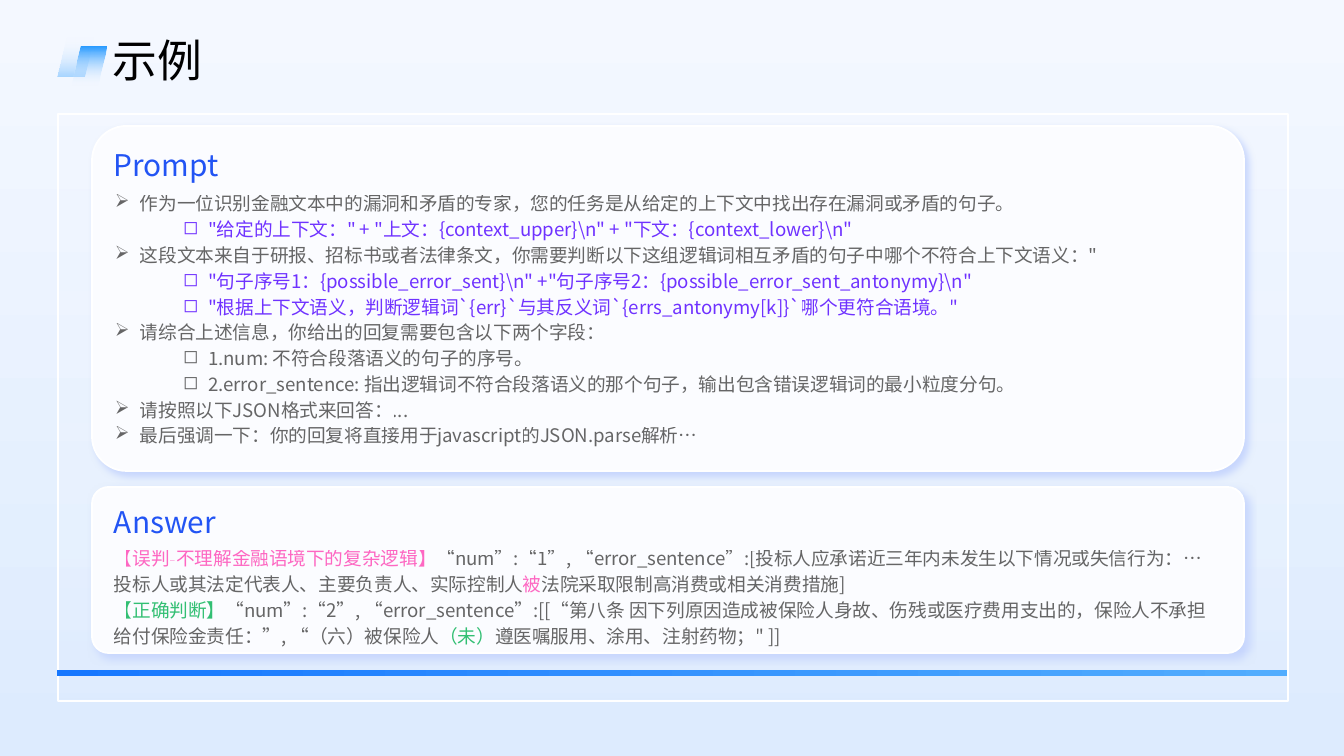
import pptx
import pptx.dml.color
import pptx.enum.shapes
import pptx.enum.text
import pptx.oxml
import pptx.oxml.ns
import pptx.util
from lxml import etree

PX = 914400 / 134.4
SHAPES = pptx.enum.shapes.MSO_SHAPE
ANCHOR = pptx.enum.text.MSO_ANCHOR
qn = pptx.oxml.ns.qn

COLORS = {
    "sky_light": "F4F8FF",
    "sky_dark": "DDEBFE",
    "logo": "2599FF",
    "white": "FFFFFF",
    "bar_light": "52ADFE",
    "bar_dark": "1677FF",
    "card": "FBFCFF",
    "shadow": "C7D6FD",
    "black": "000000",
    "heading": "2254F4",
    "body": "404040",
    "code": "4D00FF",
    "wrong": "FF42B3",
    "right": "00B050",
}
TITLE_FONT = "Noto Sans CJK JP"
BODY_FONT = "Noto Sans CJK SC"

PROMPT = [
    (0, "body", "作为一位识别金融文本中的漏洞和矛盾的专家，您的任务是从给定的上下文中找出存在漏洞或矛盾的句子。"),
    (1, "code", r'"给定的上下文：" + "上文：{context_upper}\n" + "下文：{context_lower}\n"'),
    (0, "body", '这段文本来自于研报、招标书或者法律条文，你需要判断以下这组逻辑词相互矛盾的句子中哪个不符合上下文语义："'),
    (1, "code", r'"句子序号1：{possible_error_sent}\n" +"句子序号2：{possible_error_sent_antonymy}\n"'),
    (1, "code", '"根据上下文语义，判断逻辑词`{err}`与其反义词`{errs_antonymy[k]}`哪个更符合语境。"'),
    (0, "body", "请综合上述信息，你给出的回复需要包含以下两个字段："),
    (1, "body", "1.num: 不符合段落语义的句子的序号。"),
    (1, "body", "2.error_sentence: 指出逻辑词不符合段落语义的那个句子，输出包含错误逻辑词的最小粒度分句。"),
    (0, "body", "请按照以下JSON格式来回答：..."),
    (0, "body", "最后强调一下：你的回复将直接用于javascript的JSON.parse解析…"),
]
ANSWERS = [
    [
        ("wrong", "【误判-不理解金融语境下的复杂逻辑】"),
        ("body", "“num”:“1”, “error_sentence”:[投标人应承诺近三年内未发生以下情况或失信行为：…投标人或其法定代表人、主要负责人、实际控制人"),
        ("wrong", "被"),
        ("body", "法院采取限制高消费或相关消费措施]"),
    ],
    [
        ("right", "【正确判断】"),
        ("body", "“num”:“2”, “error_sentence”:[[“第八条 因下列原因造成被保险人身故、伤残或医疗费用支出的，保险人不承担给付保险金责任：”, “（六）被保险人"),
        ("right", "（未）"),
        ("body", '遵医嘱服用、涂用、注射药物；" ]]'),
    ],
]
BULLETS = [("➢", 25), ("◻", 93)]


def px(length):
    """Turn px into EMU."""
    return pptx.util.Emu(round(length * PX))


def rgb(name):
    """Look up a palette colour."""
    return pptx.dml.color.RGBColor.from_string(COLORS[name])


def paint_gradient(fill, element, stops, angle):
    """Fill with (position, colour, opacity) stops at an anticlockwise angle."""
    fill.gradient()
    fill.gradient_angle = angle
    stop_list = element.find(".//" + qn("a:gsLst"))
    for stop in list(stop_list):
        stop_list.remove(stop)
    for position, color, opacity in stops:
        stop = etree.SubElement(stop_list, qn("a:gs"), pos=str(position * 1000))
        value = etree.SubElement(stop, qn("a:srgbClr"), val=COLORS[color])
        if opacity < 100:
            etree.SubElement(value, qn("a:alpha"), val=str(opacity * 1000))


def add_box(shapes, kind, box, line=None):
    """Add a shadowless shape with an optional 1 pt line."""
    shape = shapes.add_shape(kind, *map(px, box))
    shape.shadow.inherit = False
    if line:
        shape.line.color.rgb = rgb(line)
        shape.line.width = pptx.util.Pt(1)
    else:
        shape.line.fill.background()
    return shape


def add_gradient_box(shapes, kind, box, stops, angle=270, line=None):
    """Add a shape with a gradient fill."""
    shape = add_box(shapes, kind, box, line)
    paint_gradient(shape.fill, shape.element, stops, angle)
    return shape


def add_logo(shapes):
    """Add the two overlapping slanted tiles beside the title."""
    group = shapes.add_group_shape()
    for left, top, opacity, rotation in [(58, 38, 38, 0), (71, 47, 100, 180)]:
        stops = [(0, "sky_light", 0), (100, "logo", opacity)]
        tile = add_gradient_box(group.shapes, SHAPES.PARALLELOGRAM, (left, top, 35, 39), stops)
        tile.rotation = rotation


def add_card(shapes, top, height):
    """Add a rounded card with a soft shadow."""
    card = add_box(shapes, SHAPES.ROUNDED_RECTANGLE, (92, top, 1152, height), "white")
    card.adjustments[0] = 0.1
    card.fill.solid()
    card.fill.fore_color.rgb = rgb("card")
    effects = card.element.spPr.find(qn("a:effectLst"))
    shadow = etree.SubElement(
        effects, qn("a:outerShdw"), blurRad=str(pptx.util.Pt(4)), dist=str(pptx.util.Pt(3)),
        dir="2700000", algn="tl", rotWithShape="0",
    )
    etree.SubElement(shadow, qn("a:srgbClr"), val=COLORS["shadow"])


def set_frame(frame, side, edge, anchor=ANCHOR.TOP):
    """Set wrapping, insets and anchor of a text frame."""
    frame.word_wrap = True
    frame.auto_size = pptx.enum.text.MSO_AUTO_SIZE.NONE
    frame.margin_left = frame.margin_right = px(side)
    frame.margin_top = frame.margin_bottom = px(edge)
    frame.vertical_anchor = anchor


def add_text_frame(shapes, box):
    """Add a text box and return its frame."""
    frame = shapes.add_textbox(*map(px, box)).text_frame
    set_frame(frame, 0, 5)
    return frame


def next_paragraph(frame, index):
    """Return the first paragraph or a new one."""
    return frame.add_paragraph() if index else frame.paragraphs[0]


def format_paragraph(paragraph, size, font_name, color=None, spacing=1.15):
    """Set the font and line spacing of a paragraph."""
    paragraph.line_spacing = spacing
    paragraph.font.size = pptx.util.Pt(size)
    paragraph.font.name = font_name
    if color:
        paragraph.font.color.rgb = rgb(color)
    for latin in paragraph._p.iter(qn("a:latin")):
        latin.addnext(latin.makeelement(qn("a:ea"), {"typeface": font_name}))


def fade_text(frame):
    """Make all text colours 80 percent opaque."""
    for color in frame._txBody.iter(qn("a:srgbClr")):
        etree.SubElement(color, qn("a:alpha"), val="80000")


def set_title(title):
    """Place and format the slide title."""
    title.left, title.top, title.width, title.height = map(px, (108, 31, 1086, 63))
    title.text_frame.text = "示例"
    set_frame(title.text_frame, 5, 3, ANCHOR.MIDDLE)
    paragraph = title.text_frame.paragraphs[0]
    paragraph.alignment = pptx.enum.text.PP_ALIGN.LEFT
    format_paragraph(paragraph, 24, TITLE_FONT, "black", 0.9)


def add_heading(shapes, text, top):
    """Add a card heading."""
    frame = add_text_frame(shapes, (114, top, 249, 47))
    frame.text = text
    format_paragraph(frame.paragraphs[0], 16, TITLE_FONT, "heading")


def add_prompt(shapes):
    """Add the two-level bulleted prompt."""
    frame = add_text_frame(shapes, (115, 184, 1096, 284))
    for index, (level, color, text) in enumerate(PROMPT):
        paragraph = next_paragraph(frame, index)
        paragraph.text = text
        paragraph.level = level
        character, margin = BULLETS[level]
        properties = paragraph._p.get_or_add_pPr()
        properties.set("marL", str(px(margin)))
        properties.set("indent", str(px(-25)))
        etree.SubElement(properties, qn("a:buChar"), char=character)
        format_paragraph(paragraph, 10, BODY_FONT, color)
    fade_text(frame)


def add_answers(shapes):
    """Add the answers with coloured verdicts."""
    frame = add_text_frame(shapes, (114, 539, 1096, 114))
    for index, parts in enumerate(ANSWERS):
        paragraph = next_paragraph(frame, index)
        for color, text in parts:
            run = paragraph.add_run()
            run.text = text
            run.font.color.rgb = rgb(color)
        format_paragraph(paragraph, 10, BODY_FONT)
    fade_text(frame)


def main():
    """Build and save the slide."""
    presentation = pptx.Presentation()
    presentation.slide_width, presentation.slide_height = px(1344), px(756)
    slide = presentation.slides.add_slide(presentation.slide_layouts[5])
    shapes = slide.shapes
    sky = [(0, "sky_light", 100), (100, "sky_dark", 100)]
    paint_gradient(slide.background.fill, slide.element, sky, 270)
    set_title(shapes.title)
    add_logo(shapes)
    glass = [(1, "white", 8), (73, "white", 13), (100, "white", 0)]
    add_gradient_box(shapes, SHAPES.RECTANGLE, (58, 114, 1230, 587), glass, line="white")
    blues = [(0, "bar_light", 100), (100, "bar_dark", 100)]
    add_gradient_box(shapes, SHAPES.RECTANGLE, (57, 670, 1230, 6), blues, angle=180)
    add_card(shapes, 126, 345)
    add_card(shapes, 487, 166)
    add_heading(shapes, "Prompt", 136)
    add_prompt(shapes)
    add_heading(shapes, "Answer", 493)
    add_answers(shapes)
    presentation.save("out.pptx")


if __name__ == "__main__":
    main()
